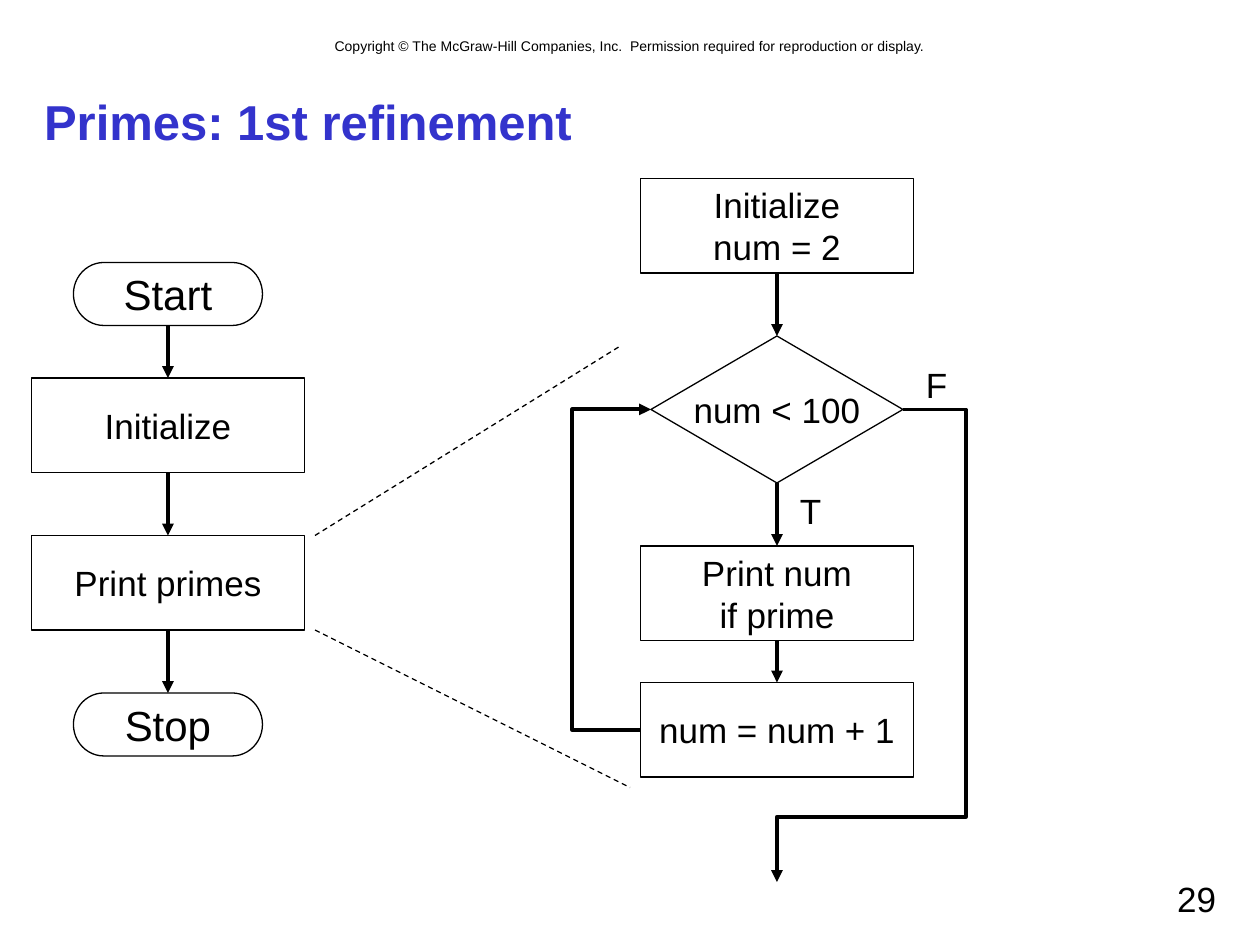
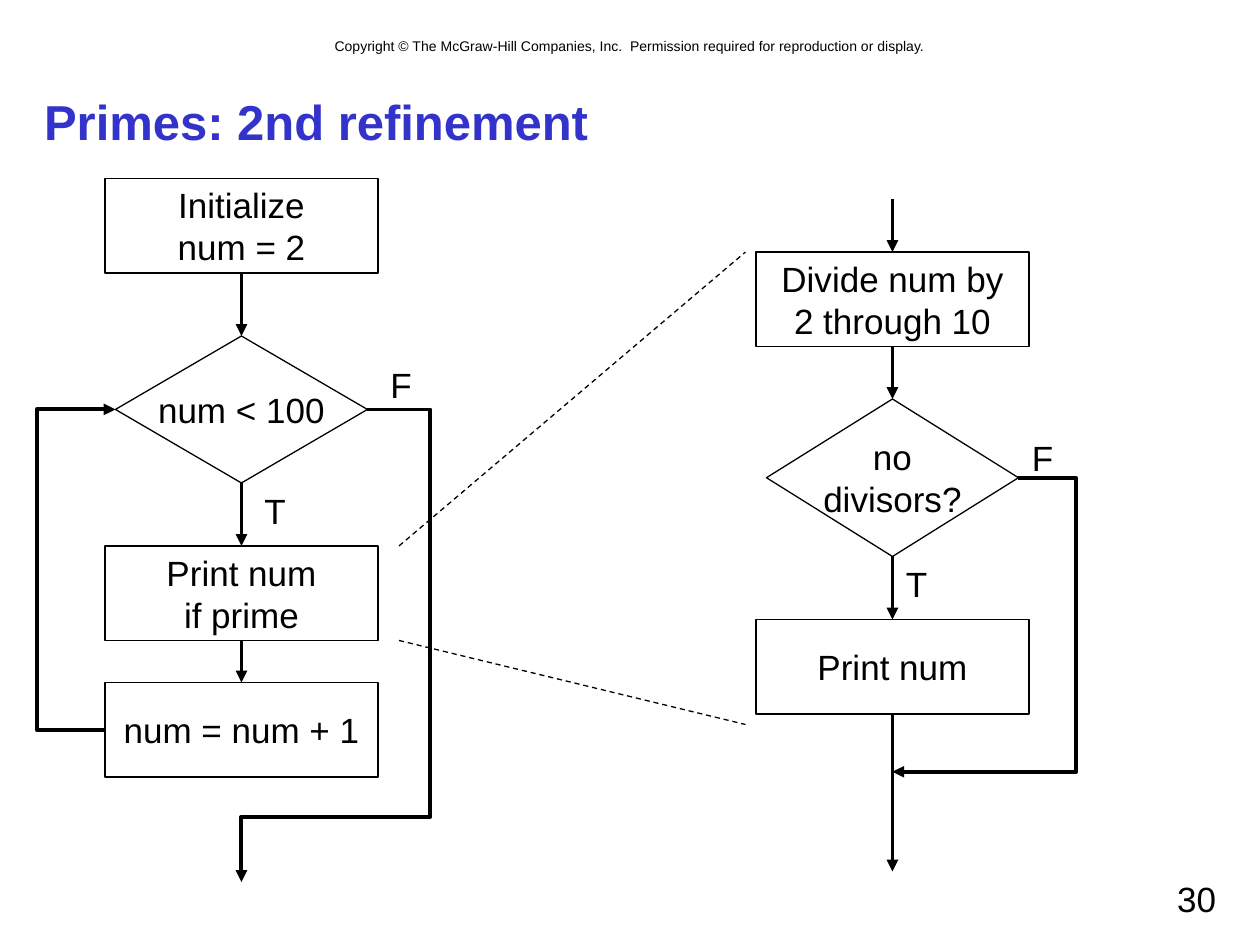
from itertools import pairwise

from lxml.etree import SubElement
from pptx import Presentation
from pptx.dml.color import RGBColor
from pptx.enum.dml import MSO_LINE
from pptx.enum.shapes import MSO_CONNECTOR as Link, MSO_SHAPE as Shape
from pptx.enum.text import MSO_ANCHOR as Anchor, MSO_AUTO_SIZE as AutoSize, PP_ALIGN as Align
from pptx.oxml.ns import qn
from pptx.util import Pt

PX = 7620  # 120 px to the inch
FONT = "Arial"
COLOURS = {"ink": "000000", "title": "3333CC"}
COPYRIGHT = ("Copyright © The McGraw-Hill Companies, Inc.  "
             "Permission required for reproduction or display.")

# kind: preset shape, width, text size
KINDS = {
    "terminal": (Shape.FLOWCHART_TERMINATOR, 180, 24),
    "process": (Shape.RECTANGLE, 260, 20),
    "decision": (Shape.FLOWCHART_DECISION, 240, 20),
}

# Steps are kind, text, top, height. Every x is measured from the column's centre.
# Bends are start, end, x of the upright part and, if there is one, y of the last level part.
OUTLINE = {
    "steps": [
        ("terminal", "Start", 250, 60),
        ("process", "Initialize", 360, 90),
        ("process", "Print primes", 510, 90),
        ("terminal", "Stop", 660, 60),
    ],
}
NUMBER_LOOP = {
    "steps": [
        ("process", "Initialize\nnum = 2", 170, 90),
        ("decision", "num < 100", 320, 140),
        ("process", "Print num\vif prime", 520, 90),
        ("process", "num = num + 1", 650, 90),
    ],
    "bends": [((-130, 695), (-120, 390), -195, None), ((120, 390), (0, 840), 180, 778)],
    "labels": [("F", 130, 340), ("T", 10, 460)],
}
PRIME_TEST = {
    "steps": [
        ("process", "Divide num by\v2 through 10", 240, 90),
        ("decision", "no\vdivisors?", 380, 150),
        ("process", "Print num", 590, 90),
    ],
    "bends": [((120, 455), (0, 735), 175, None)],
    "labels": [("F", 121, 410), ("T", 1, 530)],
    "entry": 190,
    "exit": 830,
}
SLIDES = [
    {
        "title": "Primes: 1st refinement",
        "number": "29",
        "columns": [(160, OUTLINE), (740, NUMBER_LOOP)],
        "zoom_lines": [((300, 510), (590, 330)), ((300, 600), (600, 750))],
    },
    {
        "title": "Primes: 2nd refinement",
        "number": "30",
        "columns": [(230, NUMBER_LOOP), (850, PRIME_TEST)],
        "zoom_lines": [((380, 520), (710, 240)), ((380, 610), (710, 690))],
    },
]


def px(*lengths):
    return [length * PX for length in lengths]


def colour(name):
    return RGBColor.from_string(COLOURS[name])


def write(frame, text, size, align=Align.CENTER, tint="ink", bold=False, **frame_format):
    frame.text = text
    for name, value in frame_format.items():
        setattr(frame, name, value)
    for para in frame.paragraphs:
        para.alignment = align
        para.font.color.rgb = colour(tint)
        for name, value in {"name": FONT, "size": Pt(size), "bold": bold}.items():
            setattr(para.font, name, value)


def add_text(page, place, text, size, **text_format):
    box = page.shapes.add_textbox(*px(*place))
    write(box.text_frame, text, size, **text_format)
    return box


def add_step(page, centre, kind, text, top, height):
    preset, width, size = KINDS[kind]
    step = page.shapes.add_shape(preset, *px(centre - width // 2, top, width, height))
    step.shadow.inherit = False
    step.fill.background()
    step.line.color.rgb = colour("ink")
    step.line.width = Pt(0.75)
    write(step.text_frame, text, size, vertical_anchor=Anchor.MIDDLE, word_wrap=False)
    return step


def add_line(page, start, end, kind=Link.STRAIGHT, dashed=False):
    """Draw a thick arrow, or a thin dashed line without a head."""
    line = page.shapes.add_connector(kind, *px(*start, *end))
    line.line.color.rgb = colour("ink")
    line.line.width = Pt(0.75 if dashed else 2.25)
    if dashed:
        line.line.dash_style = MSO_LINE.DASH
    else:
        SubElement(line.element.spPr.find(qn("a:ln")), qn("a:tailEnd"), type="triangle")
    SubElement(line.element.spPr, qn("a:effectLst"))
    return line


def add_bend(page, centre, start, end, upright_x, level_y):
    (start_x, start_y), (end_x, end_y) = start, end
    line = add_line(page, (centre + start_x, start_y), (centre + end_x, end_y), Link.ELBOW)
    shares = [(upright_x - start_x) / (end_x - start_x)]
    if level_y is not None:
        shares.append((level_y - start_y) / (end_y - start_y))
    geometry = line.element.spPr.find(qn("a:prstGeom"))
    geometry.set("prst", f"bentConnector{len(shares) + 2}")
    guides = geometry.find(qn("a:avLst"))
    for index, share in enumerate(shares, 1):
        SubElement(guides, qn("a:gd"), name=f"adj{index}", fmla=f"val {round(share * 100000)}")


def add_column(page, centre, column):
    steps = [add_step(page, centre, *step) for step in column["steps"]]
    for upper, lower in pairwise(steps):
        arrow = add_line(page, (centre, 0), (centre, 0))
        arrow.begin_connect(upper, 2)
        arrow.end_connect(lower, 0)
    if "entry" in column:
        top = column["steps"][0][2]
        add_line(page, (centre, column["entry"]), (centre, top)).end_connect(steps[0], 0)
    if "exit" in column:
        _, _, top, height = column["steps"][-1]
        add_line(page, (centre, top + height), (centre, column["exit"])).begin_connect(steps[-1], 2)
    for bend in column.get("bends", []):
        add_bend(page, centre, *bend)
    for text, offset, top in column.get("labels", []):
        add_text(page, (centre + offset, top, 44, 53), text, 20,
                 word_wrap=False, auto_size=AutoSize.SHAPE_TO_FIT_TEXT)


def add_copyright(deck, page):
    """Make the copyright line on a page, then move it to the master that all pages share."""
    box = add_text(page, (80, 30, 1040, 29), COPYRIGHT, 8, word_wrap=True)
    box.element.nvSpPr.cNvPr.set("id", "20")
    deck.slide_master.shapes.element.append(box.element)


def add_page(deck, content):
    page = deck.slides.add_slide(deck.slide_layouts.get_by_name("Title Only"))
    title = page.shapes.title
    title.left, title.top, title.width, title.height = px(30, 80, 1140, 70)
    write(title.text_frame, content["title"], 28, align=Align.LEFT, tint="title", bold=True,
          vertical_anchor=Anchor.MIDDLE, auto_size=AutoSize.NONE)
    for centre, column in content["columns"]:
        add_column(page, centre, column)
    for start, end in content["zoom_lines"]:
        add_line(page, start, end, dashed=True)
    add_text(page, (860, 830, 310, 50), content["number"], 20, align=Align.RIGHT, word_wrap=True)
    return page


def main():
    deck = Presentation()
    deck.slide_width, deck.slide_height = px(1200, 900)
    pages = [add_page(deck, content) for content in SLIDES]
    add_copyright(deck, pages[0])
    deck.save("out.pptx")


if __name__ == "__main__":
    main()
